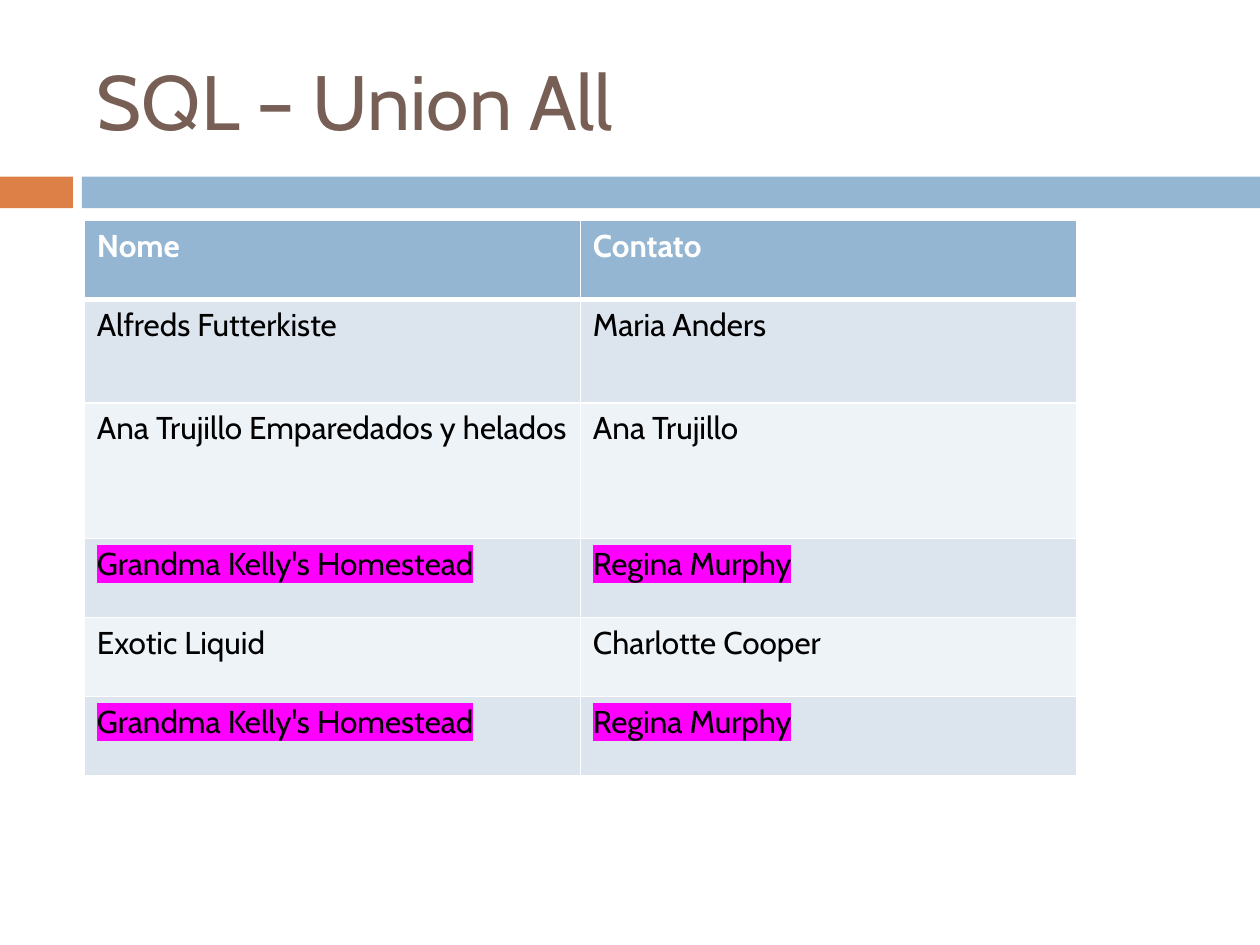
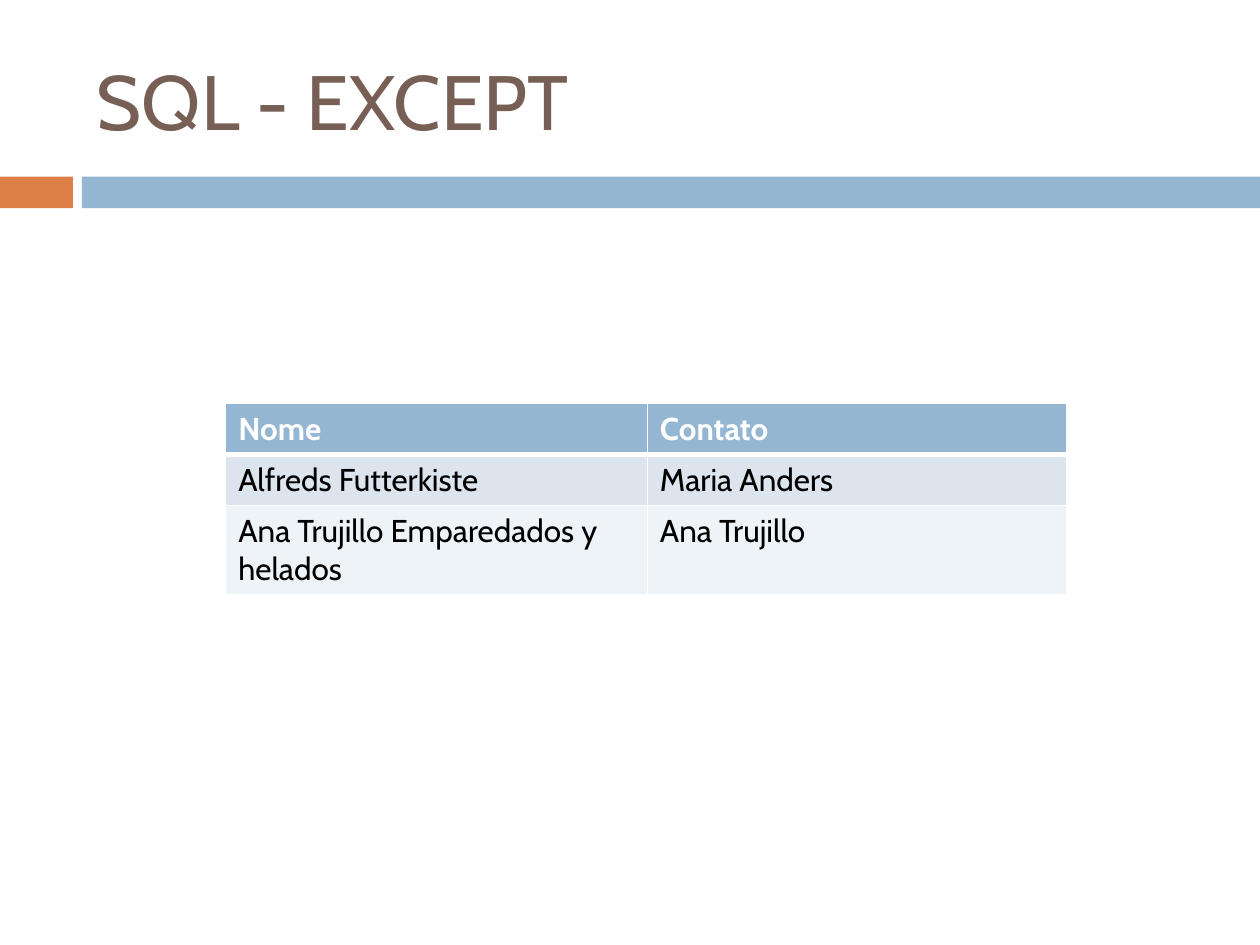
from lxml import etree
from pptx import Presentation
from pptx.dml.color import RGBColor
from pptx.enum.shapes import MSO_SHAPE
from pptx.enum.text import MSO_ANCHOR, PP_ALIGN
from pptx.oxml.ns import qn
from pptx.util import Cm, Pt

RECTANGLE = MSO_SHAPE.RECTANGLE
MIDDLE = MSO_ANCHOR.MIDDLE
LEFT = PP_ALIGN.LEFT

FONT = "Cabin"
BROWN = RGBColor(0x77, 0x5F, 0x55)
ORANGE = RGBColor(0xDD, 0x80, 0x47)
BLUE = RGBColor(0x94, 0xB6, 0xD2)
BAND_DARK = RGBColor(0xDC, 0xE5, 0xEE)
BAND_LIGHT = RGBColor(0xEE, 0xF3, 0xF7)
WHITE = RGBColor(0xFF, 0xFF, 0xFF)
BLACK = RGBColor(0x00, 0x00, 0x00)
MAGENTA = RGBColor(0xFF, 0x00, 0xFF)

TITLE_ONLY = 5
TITLE_BOX = (1.7, 0.64, 22.66, 2.74)
BANDS = (((0, 3.56, 1.47, 0.64), ORANGE), ((1.65, 3.56, 23.75, 0.64), BLUE))

HEADER = ("Nome", "Contato")
CUSTOMERS = [
    ("Alfreds Futterkiste", "Maria Anders"),
    ("Ana Trujillo Emparedados y helados", "Ana Trujillo"),
]
SHARED = ("Grandma Kelly's Homestead", "Regina Murphy")
SUPPLIERS = [("Exotic Liquid", "Charlotte Cooper")]


def add_color(parent, tag, color):
    holder = etree.SubElement(parent, qn(tag))
    etree.SubElement(holder, qn("a:srgbClr"), val=str(color))


def add_run(p, text, size, color, bold=False, highlight=None):
    r = p.add_run()
    r.text = text
    r.font.size = Pt(size)
    r.font.bold = bold
    r.font.color.rgb = color
    if highlight is not None:
        add_color(r.font._element, "a:highlight", highlight)
    r.font.name = FONT


def add_bands(s):
    for box, color in BANDS:
        sp = s.shapes.add_shape(RECTANGLE, *map(Cm, box))
        sp.shadow.inherit = False
        sp.fill.solid()
        sp.fill.fore_color.rgb = color
        sp.line.fill.background()


def set_title(s, text):
    title = s.shapes.title
    title.left, title.top, title.width, title.height = map(Cm, TITLE_BOX)
    tf = title.text_frame
    tf.vertical_anchor = MIDDLE
    p = tf.paragraphs[0]
    p.alignment = LEFT
    add_run(p, text, 44, BROWN)


def set_borders(cell, top, bottom):
    tcPr = cell._tc.get_or_add_tcPr()
    for side, width in (("L", 1), ("R", 1), ("T", top), ("B", bottom)):
        ln = etree.SubElement(tcPr, qn(f"a:ln{side}"), w=str(Pt(width)))
        add_color(ln, "a:solidFill", WHITE)


def add_result_table(s, left, top, col_widths, row_heights, records):
    rows = [HEADER, *records]
    table = s.shapes.add_table(
        len(rows), len(HEADER), Cm(left), Cm(top),
        Cm(sum(col_widths)), Cm(sum(row_heights))).table
    table.horz_banding = False
    for column, width in zip(table.columns, col_widths):
        column.width = Cm(width)
    for i, (record, height) in enumerate(zip(rows, row_heights)):
        table.rows[i].height = Cm(height)
        is_header = i == 0
        fill = BLUE if is_header else (BAND_LIGHT, BAND_DARK)[i % 2]
        highlight = MAGENTA if rows.count(record) > 1 else None
        for j, text in enumerate(record):
            cell = table.cell(i, j)
            set_borders(cell, 3 if i == 1 else 1, 3 if is_header else 1)
            cell.fill.solid()
            cell.fill.fore_color.rgb = fill
            add_run(cell.text_frame.paragraphs[0], text, 18,
                    WHITE if is_header else BLACK, is_header, highlight)


def add_result_slide(prs, title, **table):
    s = prs.slides.add_slide(prs.slide_layouts[TITLE_ONLY])
    add_bands(s)
    set_title(s, title)
    add_result_table(s, **table)


def main():
    prs = Presentation()
    prs.slide_width, prs.slide_height = Cm(25.4), Cm(19.05)
    add_result_slide(
        prs, "SQL – Union All", left=1.7, top=4.45, col_widths=(10, 10),
        row_heights=(1.59, 2.08, 2.74, 1.59, 1.59, 1.59),
        records=[*CUSTOMERS, SHARED, *SUPPLIERS, SHARED])
    add_result_slide(
        prs, "SQL - EXCEPT", left=4.55, top=8.13, col_widths=(8.5, 8.46),
        row_heights=(1.03, 1.03, 1.78), records=CUSTOMERS)
    prs.save("out.pptx")


if __name__ == "__main__":
    main()
